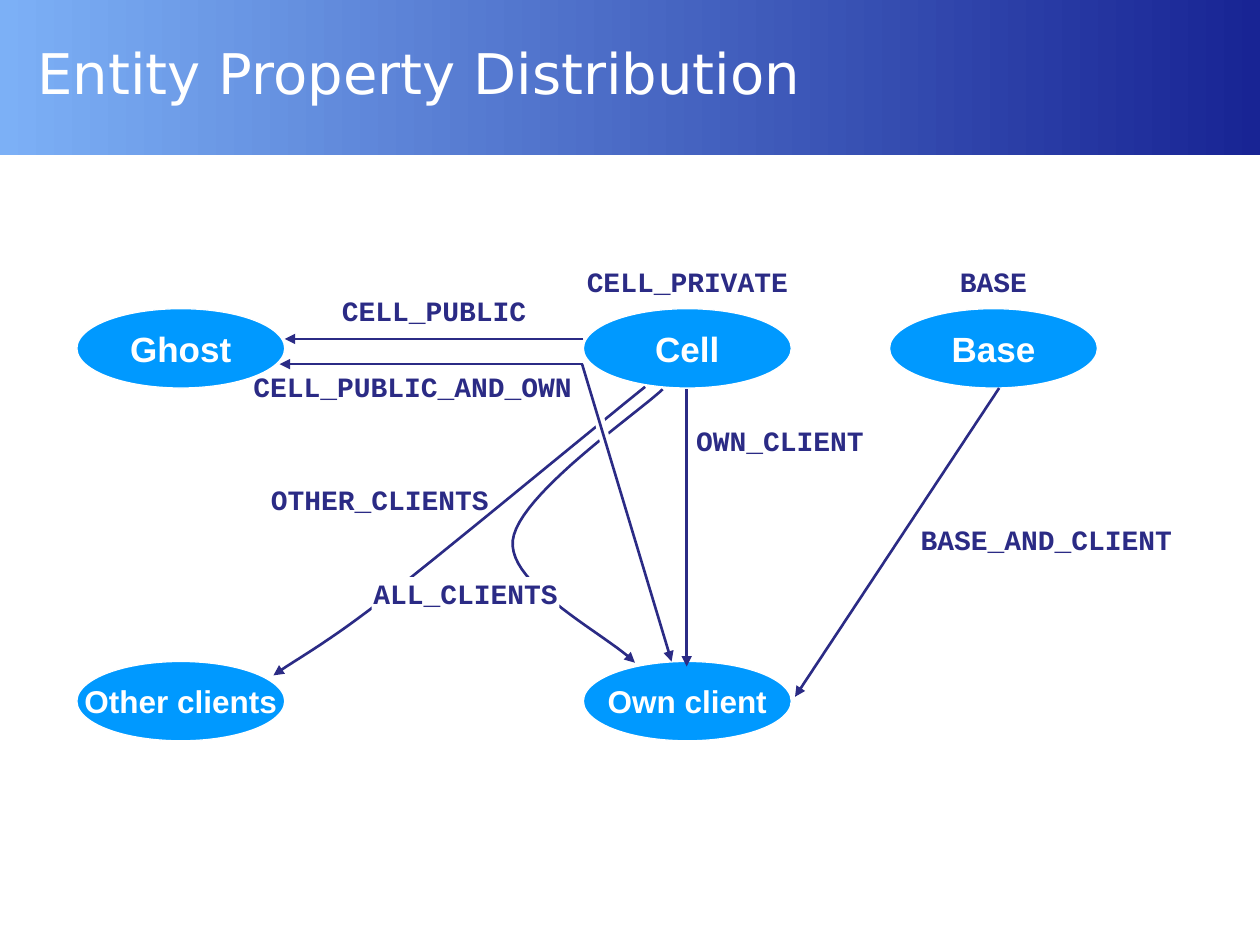
from dataclasses import dataclass

from lxml.etree import SubElement
from pptx import Presentation
from pptx.dml.color import RGBColor
from pptx.enum.shapes import MSO_CONNECTOR, MSO_SHAPE
from pptx.enum.text import MSO_ANCHOR, PP_ALIGN
from pptx.oxml.ns import qn
from pptx.util import Inches, Pt


@dataclass(frozen=True)
class Theme:
    white: RGBColor = RGBColor(0xFF, 0xFF, 0xFF)
    ink: RGBColor = RGBColor(0x2B, 0x2B, 0x85)
    node: RGBColor = RGBColor(0x00, 0x99, 0xFF)
    light: RGBColor = RGBColor(0x7C, 0xB0, 0xF6)
    dark: RGBColor = RGBColor(0x18, 0x24, 0x94)
    head: str = "DejaVu Sans"
    sans: str = "Arial"
    mono: str = "Courier New"
    title: int = 32
    large: int = 20
    small: int = 18
    label: int = 16
    line: float = 1.5
    gap: float = 6


THEME = Theme()
NODE_W, NODE_H = 1.65, 0.63
LEFT, MID, RIGHT = 0.61, 4.63, 7.06
TOP, LOW = 2.45, 5.25
LABEL_H = 0.27

NODES = [
    ("Ghost", LEFT, TOP, THEME.large),
    ("Cell", MID, TOP, THEME.large),
    ("Base", RIGHT, TOP, THEME.large),
    ("Other clients", LEFT, LOW, THEME.small),
    ("Own client", MID, LOW, THEME.small),
]
LABELS = [
    ("BASE", RIGHT, 2.1, NODE_W),
    ("CELL_PRIVATE", MID, 2.1, NODE_W),
    ("CELL_PUBLIC", 2.64, 2.33, 1.61),
    ("CELL_PUBLIC_AND_OWN", 1.94, 2.93, 2.67),
    ("OWN_CLIENT", 5.52, 3.36, 1.34),
    ("OTHER_CLIENTS", 2.13, 3.83, 1.77),
    ("BASE_AND_CLIENT", 7.3, 4.15, 2.01),
]
ARROWS = [
    ((4.63, 2.69), (2.26, 2.69)),
    ((4.63, 2.89), (2.22, 2.89)),
    ((5.45, 3.09), (5.45, 5.29)),
    ((7.93, 3.08), (6.31, 5.53)),
    ((4.62, 2.89), (5.33, 5.25)),
]
# Each curve is a start point, then control, control, end for each Bézier.
CURVES = [
    [(5.12, 3.07), (4.77, 3.35), (3.55, 4.36), (3.05, 4.75),
     (2.56, 5.13), (2.35, 5.23), (2.17, 5.36)],
    [(5.26, 3.09), (5.06, 3.28), (4.11, 3.93), (4.07, 4.29),
     (4.03, 4.65), (4.84, 5.05), (5.04, 5.26)],
]


def write(shape, text, font, size, color, bold=True, align=PP_ALIGN.CENTER):
    frame = shape.text_frame
    frame.word_wrap = False
    frame.text = text
    para = frame.paragraphs[0]
    para.alignment = align
    para.font.name = font
    para.font.size = Pt(size)
    para.font.bold = bold
    para.font.color.rgb = color
    return frame


def add_header(shapes):
    band = shapes.add_shape(MSO_SHAPE.RECTANGLE, 0, 0, Inches(10), Inches(1.23))
    band.shadow.inherit = False
    band.line.fill.background()
    band.fill.gradient()
    band.fill.gradient_angle = 0
    for stop, color in zip(band.fill.gradient_stops, (THEME.light, THEME.dark)):
        stop.color.rgb = color
    box = shapes.add_textbox(Inches(0.2), 0, Inches(9.57), Inches(1.15))
    frame = write(box, "Entity Property Distribution", THEME.head, THEME.title,
                  THEME.white, bold=False, align=PP_ALIGN.LEFT)
    frame.word_wrap = True
    frame.vertical_anchor = MSO_ANCHOR.MIDDLE


def add_node(shapes, text, x, y, size):
    node = shapes.add_shape(MSO_SHAPE.OVAL, Inches(x), Inches(y),
                            Inches(NODE_W), Inches(NODE_H))
    node.shadow.inherit = False
    node.fill.solid()
    node.fill.fore_color.rgb = THEME.node
    node.line.color.rgb = THEME.white
    node.line.width = Pt(0.75)
    frame = write(node, text, THEME.sans, size, THEME.white)
    frame.vertical_anchor = MSO_ANCHOR.MIDDLE


def add_label(shapes, text, x, y, width):
    box = shapes.add_textbox(Inches(x), Inches(y), Inches(width), Inches(LABEL_H))
    frame = write(box, text, THEME.mono, THEME.label, THEME.ink)
    frame.margin_left = frame.margin_right = 0
    frame.margin_top = frame.margin_bottom = 0
    return box


def style_line(line, color, width):
    line.color.rgb = color
    line.width = Pt(width)


def add_tip(shape):
    """Put an arrowhead at the end of a line."""
    ln = shape.line._get_or_add_ln()
    SubElement(ln, qn("a:tailEnd"), type="triangle")


def add_line(shapes, start, end, color=THEME.ink, width=THEME.line):
    ends = [Inches(v) for v in (*start, *end)]
    line = shapes.add_connector(MSO_CONNECTOR.STRAIGHT, *ends)
    style_line(line.line, color, width)
    SubElement(line._element.spPr, qn("a:effectLst"))
    return line


def trace(points, steps=24):
    """Return points along a chain of cubic Béziers."""
    out = []
    for i in range(0, len(points) - 1, 3):
        for n in range(1, steps + 1):
            t = n / steps
            u = 1 - t
            mix = (u**3, 3 * u * u * t, 3 * u * t * t, t**3)
            out.append(tuple(
                Inches(sum(m * p[axis] for m, p in zip(mix, points[i:i + 4])))
                for axis in (0, 1)))
    return out


def add_curve(shapes, points):
    x, y = points[0]
    path = shapes.build_freeform(Inches(x), Inches(y))
    path.add_line_segments(trace(points), close=False)
    curve = path.convert_to_shape()
    curve.shadow.inherit = False
    curve.fill.background()
    style_line(curve.line, THEME.ink, THEME.line)
    add_tip(curve)


def main():
    deck = Presentation()
    deck.slide_width, deck.slide_height = Inches(10), Inches(7.5)
    shapes = deck.slides.add_slide(deck.slide_layouts[6]).shapes
    add_header(shapes)
    for node in NODES:
        add_node(shapes, *node)
    for label in LABELS:
        add_label(shapes, *label)
    for points in CURVES:
        add_curve(shapes, points)
    # White fills break the curves under the label and the crossing arrow.
    patch = add_label(shapes, "ALL_CLIENTS", 2.95, 4.58, 1.49)
    patch.fill.solid()
    patch.fill.fore_color.rgb = THEME.white
    add_line(shapes, (4.69, 3.08), (4.88, 3.79), THEME.white, THEME.gap)
    for start, end in ARROWS:
        add_tip(add_line(shapes, start, end))
    deck.save("out.pptx")


if __name__ == "__main__":
    main()
